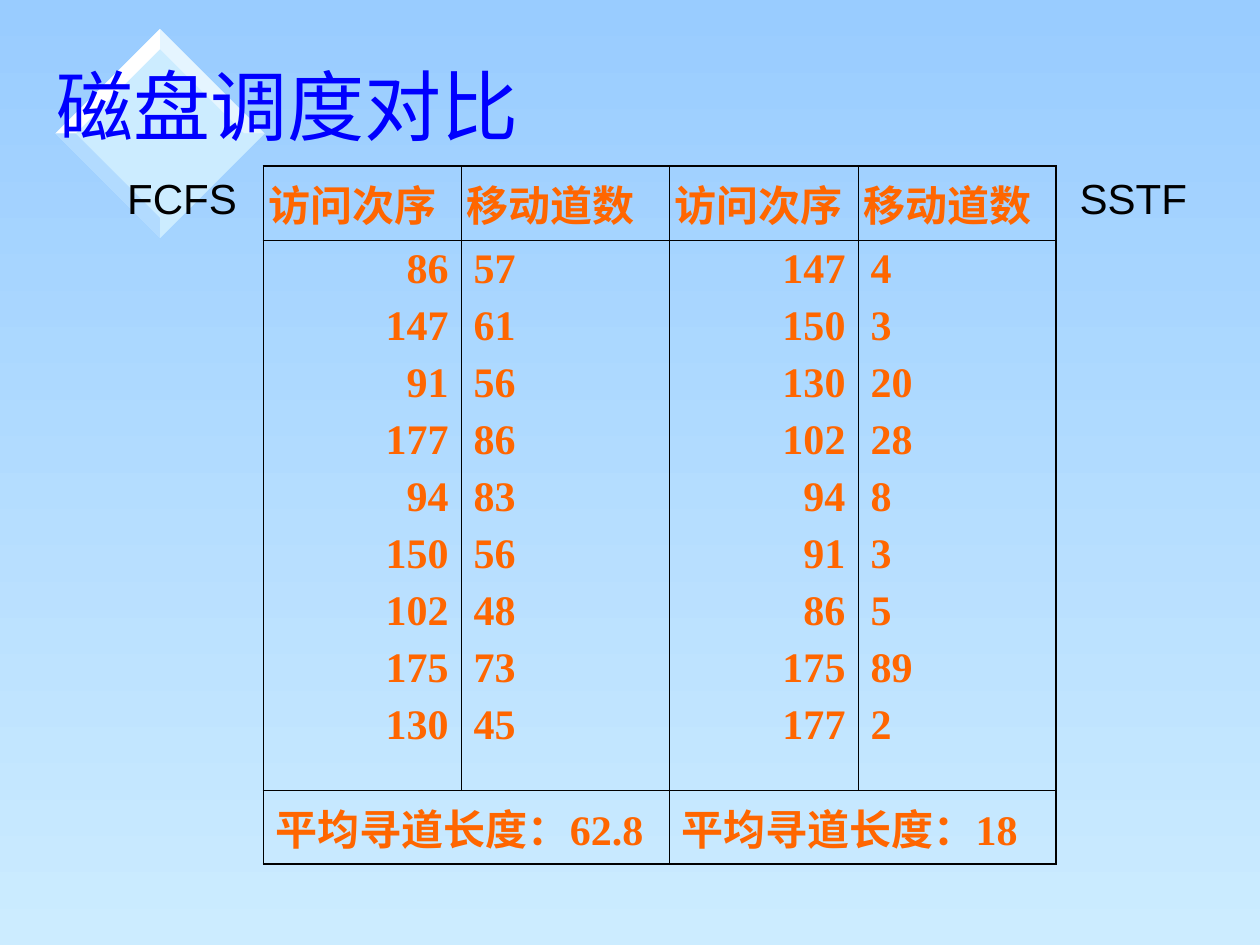
from dataclasses import dataclass
from math import cos, radians, sin

from lxml.etree import SubElement
from pptx import Presentation
from pptx.dml.color import RGBColor
from pptx.enum.text import MSO_ANCHOR as Anchor, PP_ALIGN as Align
from pptx.oxml.ns import qn
from pptx.util import Inches, Pt

ORANGE = "FF6600"
BLACK = "000000"
SERIF = "Times New Roman"
OUTER_LINE, INNER_LINE = 1.08, 0.45
CENTER_X, CENTER_Y = 1.27, 1.06
OUTER_RADIUS, INNER_RADIUS = 0.83, 0.67


@dataclass
class Facet:
    start_angle: int
    color: str
    opacity: int = 100


@dataclass
class Label:
    text: str
    left: float
    width: float


@dataclass
class Schedule:
    tracks: list[int]
    moves: list[int]
    average: str


FACETS = [
    Facet(270, "FFFFFF", 50),
    Facet(180, "FFFFFF"),
    Facet(0, "CCECFF", 50),
    Facet(90, "99CCFF", 50),
]
LABELS = [Label("FCFS", 0.91, 1.07), Label("SSTF", 8.47, 1.05)]
SCHEDULES = [
    Schedule([86, 147, 91, 177, 94, 150, 102, 175, 130],
             [57, 61, 56, 86, 83, 56, 48, 73, 45], "62.8"),
    Schedule([147, 150, 130, 102, 94, 91, 86, 175, 177],
             [4, 3, 20, 28, 8, 3, 5, 89, 2], "18"),
]
COLUMN_WIDTHS = [1.57, 1.65, 1.5, 1.57]
ROW_HEIGHTS = [0.54, 4.37, 0.53]


def rgb(color: str) -> RGBColor:
    return RGBColor.from_string(color)


def set_font(paragraph, name: str, size: float, color: str, bold: bool = False) -> None:
    font = paragraph.font
    font.name, font.size, font.bold = name, Pt(size), bold
    font.color.rgb = rgb(color)


def paint_background(slide) -> None:
    fill = slide.background.fill
    fill.gradient()
    fill.gradient_angle = 270
    for stop, color, position in zip(fill.gradient_stops, ("99CCFF", "CCECFF"), (0, 1)):
        stop.color.rgb = rgb(color)
        stop.position = position


def diamond_point(angle: int, radius: float) -> tuple[int, int]:
    return (Inches(CENTER_X + radius * cos(radians(angle))),
            Inches(CENTER_Y + radius * sin(radians(angle))))


def draw_polygon(slide, points: list[tuple[int, int]], color: str, opacity: int = 100) -> None:
    builder = slide.shapes.build_freeform(*points[0])
    builder.add_line_segments(points[1:], close=True)
    shape = builder.convert_to_shape()
    shape.shadow.inherit = False
    shape.line.fill.background()
    shape.fill.solid()
    shape.fill.fore_color.rgb = rgb(color)
    if opacity < 100:
        color_element = shape.element.spPr.find(qn("a:solidFill"))[0]
        SubElement(color_element, qn("a:alpha"), val=str(opacity * 1000))


def draw_diamond(slide) -> None:
    draw_polygon(slide, [diamond_point(angle, OUTER_RADIUS) for angle in range(0, 360, 90)],
                 "CCECFF")
    for facet in FACETS:
        start, end = facet.start_angle, facet.start_angle + 90
        corners = [(start, OUTER_RADIUS), (end, OUTER_RADIUS),
                   (end, INNER_RADIUS), (start, INNER_RADIUS)]
        draw_polygon(slide, [diamond_point(*corner) for corner in corners],
                     facet.color, facet.opacity)


def write_title(slide, text: str) -> None:
    title = slide.shapes.title
    title.element.getparent().append(title.element)
    title.left, title.top = Inches(0.35), Inches(0.36)
    title.width, title.height = Inches(9.34), Inches(0.95)
    frame = title.text_frame
    frame.text = text
    frame.vertical_anchor = Anchor.MIDDLE
    paragraph = frame.paragraphs[0]
    paragraph.alignment = Align.LEFT
    set_font(paragraph, SERIF, 44, "0000FF")


def draw_label(slide, label: Label) -> None:
    box = slide.shapes.add_textbox(Inches(label.left), Inches(1.32),
                                   Inches(label.width), Inches(0.5))
    frame = box.text_frame
    frame.text = label.text
    frame.word_wrap = False
    paragraph = frame.paragraphs[0]
    paragraph.alignment = Align.CENTER
    set_font(paragraph, "Arial", 24, BLACK)


def write_cell(cell, lines: list, alignment=Align.LEFT, margin: float = 0.1) -> None:
    cell.margin_left = cell.margin_right = Inches(margin)
    cell.text = "\n".join(map(str, lines))
    for paragraph in cell.text_frame.paragraphs:
        paragraph.alignment = alignment
        paragraph.space_before = Pt(6)
        set_font(paragraph, SERIF, 24, ORANGE, bold=True)


def style_cell(cell, row: int, column: int) -> None:
    last_column = column + cell.span_width
    edges = {
        "L": column == 0,
        "R": last_column == len(COLUMN_WIDTHS),
        "T": row == 0,
        "B": row == len(ROW_HEIGHTS) - 1,
    }
    properties = cell._tc.get_or_add_tcPr()
    for side, is_outer in edges.items():
        width = Pt(OUTER_LINE if is_outer else INNER_LINE)
        line = SubElement(properties, qn(f"a:ln{side}"), w=str(width))
        fill = SubElement(line, qn("a:solidFill"))
        SubElement(fill, qn("a:srgbClr"), val=BLACK)
    cell.fill.background()


def draw_table(slide) -> None:
    frame = slide.shapes.add_table(
        len(ROW_HEIGHTS), len(COLUMN_WIDTHS), Inches(2.09), Inches(1.32),
        Inches(sum(COLUMN_WIDTHS)), Inches(sum(ROW_HEIGHTS)))
    table = frame.table
    table.first_row = table.horz_banding = False
    for column, width in zip(table.columns, COLUMN_WIDTHS):
        column.width = Inches(width)
    for row, height in zip(table.rows, ROW_HEIGHTS):
        row.height = Inches(height)
    for index, schedule in enumerate(SCHEDULES):
        left, right = 2 * index, 2 * index + 1
        write_cell(table.cell(0, left), ["访问次序"], margin=0.04)
        write_cell(table.cell(0, right), ["移动道数"], margin=0.04)
        write_cell(table.cell(1, left), schedule.tracks, Align.RIGHT)
        write_cell(table.cell(1, right), schedule.moves)
        table.cell(2, left).merge(table.cell(2, right))
        write_cell(table.cell(2, left), [f"平均寻道长度：{schedule.average}"])
    for row in range(len(ROW_HEIGHTS)):
        for column in range(len(COLUMN_WIDTHS)):
            style_cell(table.cell(row, column), row, column)


def main() -> None:
    presentation = Presentation()
    presentation.slide_width, presentation.slide_height = Inches(10), Inches(7.5)
    slide = presentation.slides.add_slide(presentation.slide_layouts[5])
    paint_background(slide)
    draw_diamond(slide)
    write_title(slide, "磁盘调度对比")
    draw_table(slide)
    for label in LABELS:
        draw_label(slide, label)
    presentation.save("out.pptx")


if __name__ == "__main__":
    main()
